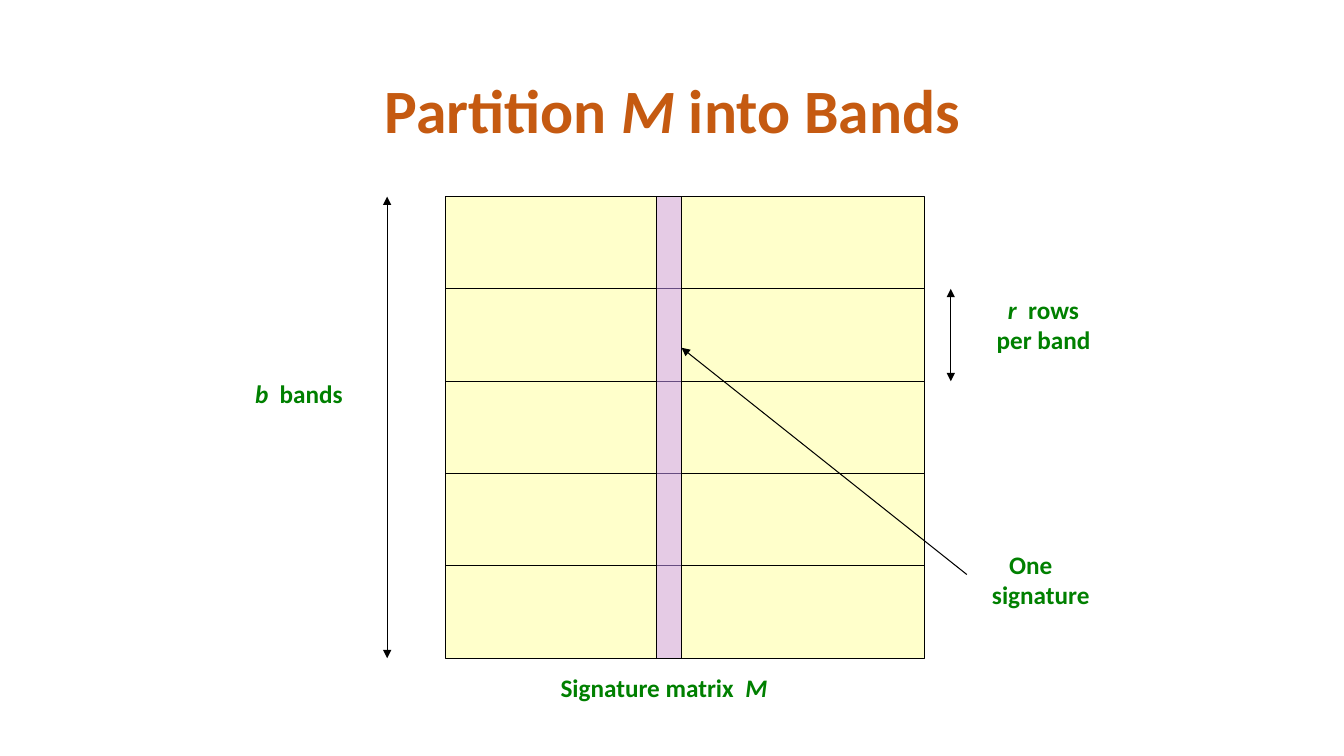
from dataclasses import dataclass

from lxml import etree
from pptx import Presentation
from pptx.dml.color import RGBColor
from pptx.enum import shapes, text
from pptx.oxml import ns
from pptx.util import Inches, Pt


@dataclass(frozen=True)
class Theme:
    font: str = "Calibri"
    title: str = "C55A11"
    label: str = "008000"
    line: str = "000000"
    matrix: str = "FFFF99"
    signature: str = "CC99FF"
    title_size: float = 44
    label_size: float = 18
    line_width: float = 0.75


THEME = Theme()
LEFT, TOP, WIDTH, HEIGHT = 4.42, 1.95, 4.75, 4.58
BANDS = 5
BAND_HEIGHT = HEIGHT / BANDS
SIGNATURE_LEFT, SIGNATURE_WIDTH = 6.51, 0.25


def add_text(page, left, top, width, height, lines, *, color=THEME.label,
             size=THEME.label_size, align=text.PP_ALIGN.CENTER,
             anchor=text.MSO_ANCHOR.TOP, wrap=False, spacing=None, first_indent=0):
    """Each line is a list of (words, italic) pairs."""
    box = page.shapes.add_textbox(Inches(left), Inches(top), Inches(width), Inches(height))
    frame = box.text_frame
    frame.word_wrap = wrap
    frame.vertical_anchor = anchor
    for index, line in enumerate(lines):
        para = frame.add_paragraph() if index else frame.paragraphs[0]
        para.alignment = align
        para.line_spacing = spacing
        if first_indent and index == 0:
            para._p.get_or_add_pPr().set("marL", str(Inches(first_indent)))
        for words, italic in line:
            span = para.add_run()
            span.text = words
            span.font.name = THEME.font
            span.font.size = Pt(size)
            span.font.bold = True
            span.font.italic = italic
            span.font.color.rgb = RGBColor.from_string(color)


def style_line(line):
    line.color.rgb = RGBColor.from_string(THEME.line)
    line.width = Pt(THEME.line_width)


def add_half_clear_box(page, left, top, width, height, color):
    box = page.shapes.add_shape(shapes.MSO_SHAPE.RECTANGLE, Inches(left), Inches(top),
                                Inches(width), Inches(height))
    box.shadow.inherit = False
    box.fill.solid()
    box.fill.fore_color.rgb = RGBColor.from_string(color)
    tint = box._element.spPr.find(ns.qn("a:solidFill"))[0]
    etree.SubElement(tint, ns.qn("a:alpha")).set("val", "50000")
    style_line(box.line)


def add_line(page, start, end, arrowheads=()):
    """Arrowheads may hold headEnd (at start) and tailEnd (at end), in that order."""
    line = page.shapes.add_connector(shapes.MSO_CONNECTOR.STRAIGHT,
                                     *map(Inches, start), *map(Inches, end))
    style_line(line.line)
    outline = line.line._get_or_add_ln()
    for arrowhead in arrowheads:
        etree.SubElement(outline, ns.qn("a:" + arrowhead)).set("type", "triangle")
    etree.SubElement(line._element.spPr, ns.qn("a:effectLst"))


def add_matrix(page):
    add_half_clear_box(page, LEFT, TOP, WIDTH, HEIGHT, THEME.matrix)
    for band in range(1, BANDS):
        y = TOP + band * BAND_HEIGHT
        add_line(page, (LEFT, y), (LEFT + WIDTH, y))
    add_half_clear_box(page, SIGNATURE_LEFT, TOP, SIGNATURE_WIDTH, HEIGHT, THEME.signature)


def add_arrows(page):
    both = ("headEnd", "tailEnd")
    add_line(page, (3.84, TOP), (3.84, TOP + HEIGHT), both)
    add_line(page, (9.43, TOP + BAND_HEIGHT), (9.43, TOP + 2 * BAND_HEIGHT), both)
    add_line(page, (9.59, 5.7), (SIGNATURE_LEFT + SIGNATURE_WIDTH, 3.45), ("tailEnd",))


def add_labels(page):
    add_text(page, 5.41, 6.62, 2.35, 0.4, [[("Signature matrix  ", False), ("M", True)]])
    add_text(page, 9.77, 2.87, 1.16, 0.71,
             [[("r ", True), (" rows", False)], [("per band", False)]])
    add_text(page, 2.42, 3.7, 1.09, 0.4, [[("b", True), ("  bands", False)]])
    add_text(page, 9.74, 5.4, 1.22, 0.7, [[("One", False)], [("signature", False)]],
             align=text.PP_ALIGN.LEFT, first_indent=0.17)


def main():
    deck = Presentation()
    deck.slide_width, deck.slide_height = Inches(13.33), Inches(7.5)
    page = deck.slides.add_slide(deck.slide_layouts[6])
    add_text(page, 0.92, 0.4, 11.5, 1.45,
             [[("Partition ", False), ("M ", True), ("into Bands", False)]],
             color=THEME.title, size=THEME.title_size,
             anchor=text.MSO_ANCHOR.MIDDLE, wrap=True, spacing=0.9)
    add_matrix(page)
    add_arrows(page)
    add_labels(page)
    deck.save("out.pptx")


if __name__ == "__main__":
    main()
